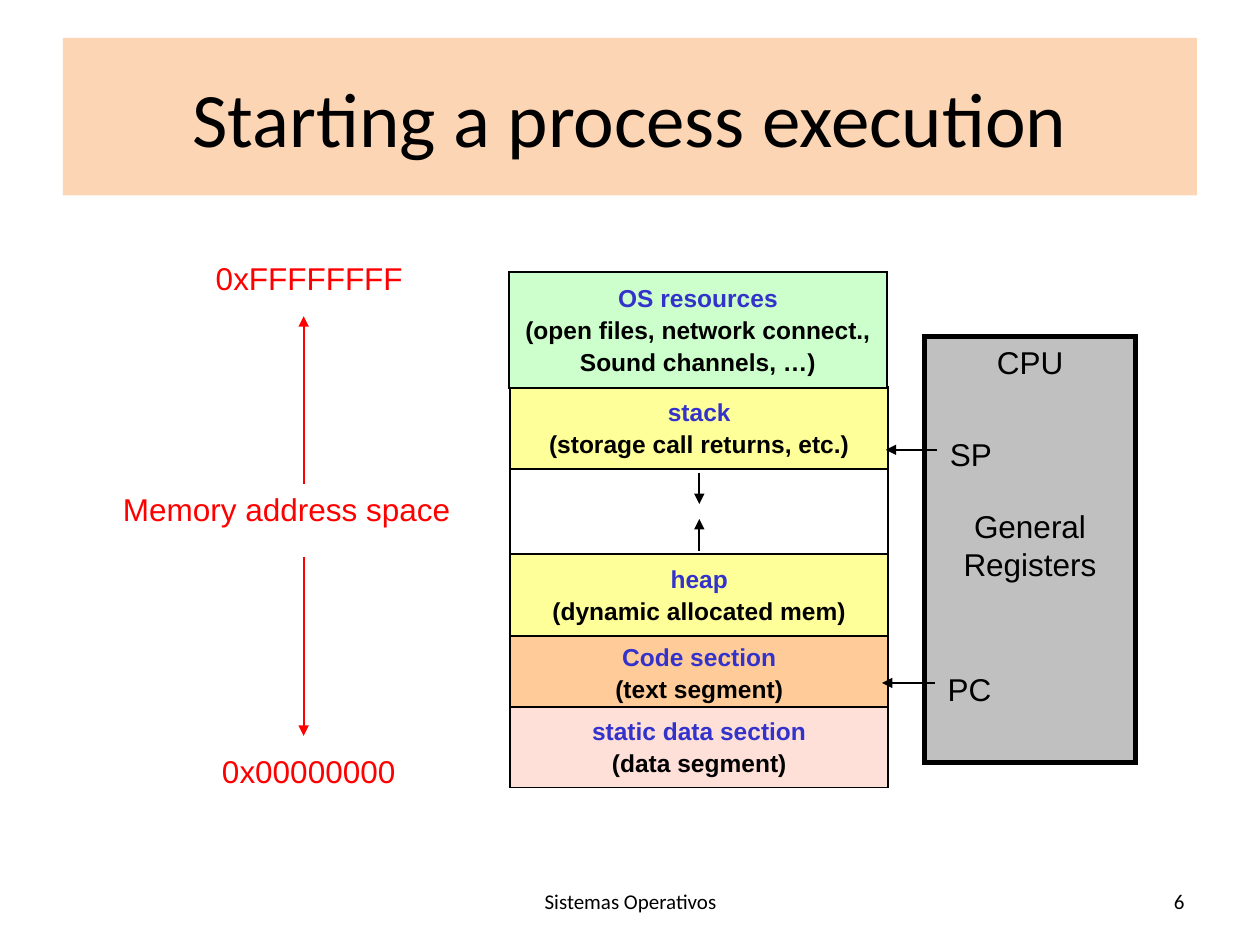
from pptx import Presentation
from pptx.dml.color import RGBColor
from pptx.enum.shapes import MSO_CONNECTOR as Link, MSO_SHAPE as Form
from pptx.enum.text import MSO_ANCHOR as Anchor, MSO_AUTO_SIZE as Fit, PP_ALIGN as Align
from pptx.oxml.ns import qn
from pptx.util import Inches, Pt
from lxml.etree import SubElement

BLACK, RED, BLUE = "000000", "FF0000", "3333CC"


def tint(code):
    return RGBColor.from_string(code)


class Sketch:
    """Draws the elements of one slide in a shared style."""

    def __init__(self, slide):
        self.slide = slide
        self.shapes = slide.shapes

    def fill_text(self, shape, lines, size, font="Arial", bold=False,
                  align=Align.CENTER, anchor=Anchor.TOP, wrap=True, gap=1.5):
        frame = shape.text_frame
        frame.word_wrap = wrap
        frame.vertical_anchor = anchor
        for i, (text, color) in enumerate(lines):
            para = frame.add_paragraph() if i else frame.paragraphs[0]
            para.alignment = align
            if i:
                para.space_before = Pt(gap)
            run = para.add_run()
            run.text = text
            run.font.name, run.font.size, run.font.bold = font, Pt(size), bold
            run.font.color.rgb = tint(color)

    def box(self, area, fill, edge=1, lines=(), size=14, **style):
        shape = self.shapes.add_shape(Form.RECTANGLE, *map(Inches, area))
        shape.shadow.inherit = False
        shape.fill.solid()
        shape.fill.fore_color.rgb = tint(fill)
        if edge:
            shape.line.color.rgb = tint(BLACK)
            shape.line.width = Pt(edge)
            SubElement(shape.line._get_or_add_ln(), qn("a:miter"), lim="800000")
        else:
            shape.line.fill.background()
        self.fill_text(shape, lines, size, **style)

    def label(self, area, text, color=BLACK, size=18, **style):
        shape = self.shapes.add_textbox(*map(Inches, area))
        self.fill_text(shape, [(text, color)], size, **style)
        if not shape.text_frame.word_wrap:
            shape.text_frame.auto_size = Fit.SHAPE_TO_FIT_TEXT

    def arrow(self, start, end, color=BLACK):
        line = self.shapes.add_connector(Link.STRAIGHT, *map(Inches, start + end))
        line.line.color.rgb = tint(color)
        line.line.width = Pt(1)
        SubElement(line.line._get_or_add_ln(), qn("a:tailEnd"), type="triangle")
        SubElement(line._element.spPr, qn("a:effectLst"))


def main():
    deck = Presentation()
    deck.slide_width, deck.slide_height = Inches(10), Inches(7.5)
    art = Sketch(deck.slides.add_slide(deck.slide_layouts[6]))

    plain = dict(font="Calibri", anchor=Anchor.MIDDLE)
    art.box((0.5, 0.3, 9, 1.25), "FCD5B5", 0,
            [("Starting a process execution", BLACK)], 44, **plain)
    art.label((3.42, 6.95, 3.17, 0.4), "Sistemas Operativos", size=12, **plain)
    art.label((7.17, 6.95, 2.33, 0.4), "6", size=12, align=Align.RIGHT, **plain)

    for left, top, width, text in [
        (1.66, 5.92, 1.58, "0x00000000"),
        (1.61, 2.01, 1.69, "0xFFFFFFFF"),
        (0.87, 3.84, 2.81, "Memory address space"),
    ]:
        art.label((left, top, width, 0.4), text, RED, wrap=False)
    art.arrow((2.41, 3.84), (2.41, 2.51), RED)
    art.arrow((2.41, 4.42), (2.41, 5.84), RED)

    for left, top, height, fill, name, notes in [
        (4.05, 5.04, 0.59, "FFCC99", "Code section", ["(text segment)"]),
        (4.05, 5.61, 0.64, "FFE0D9", "static data section", ["(data segment)"]),
        (4.05, 4.39, 0.66, "FFFF99", "heap", ["(dynamic allocated mem)"]),
        (4.05, 3.72, 0.68, "FFFFFF", "", []),
        (4.05, 3.07, 0.65, "FFFF99", "stack", ["(storage call returns, etc.)"]),
        (4.04, 2.16, 0.92, "CCFFCC", "OS resources",
         ["(open files, network connect.,", "Sound channels, …)"]),
    ]:
        lines = [(name, BLUE)] + [(note, BLACK) for note in notes]
        art.box((left, top, 3, height), fill, 1, lines if name else (),
                bold=True, anchor=Anchor.MIDDLE, wrap=False)
    art.arrow((5.55, 3.75), (5.55, 4))
    art.arrow((5.55, 4.37), (5.55, 4.12))

    art.box((7.34, 2.67, 1.67, 3.38), "C0C0C0", 3,
            [("CPU", BLACK), ("General Registers", BLACK)], 18, gap=72.5)
    art.arrow((7.44, 3.57), (7.03, 3.57))
    art.arrow((7.42, 5.42), (7, 5.42))
    art.label((7.42, 5.27, 0.55, 0.4), "PC", wrap=False)
    art.label((7.43, 3.4, 0.55, 0.4), "SP", wrap=False)

    deck.save("out.pptx")


if __name__ == "__main__":
    main()
